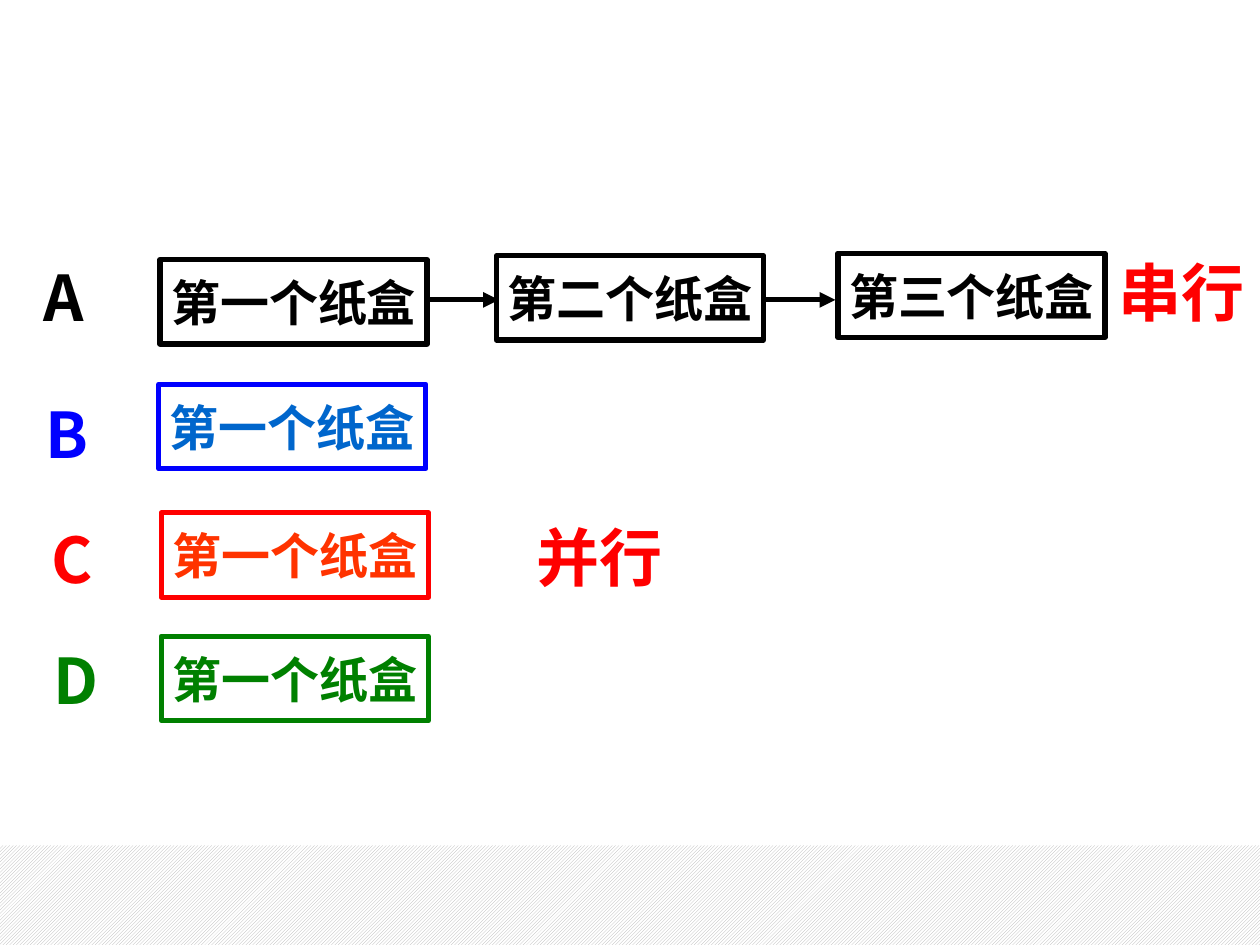
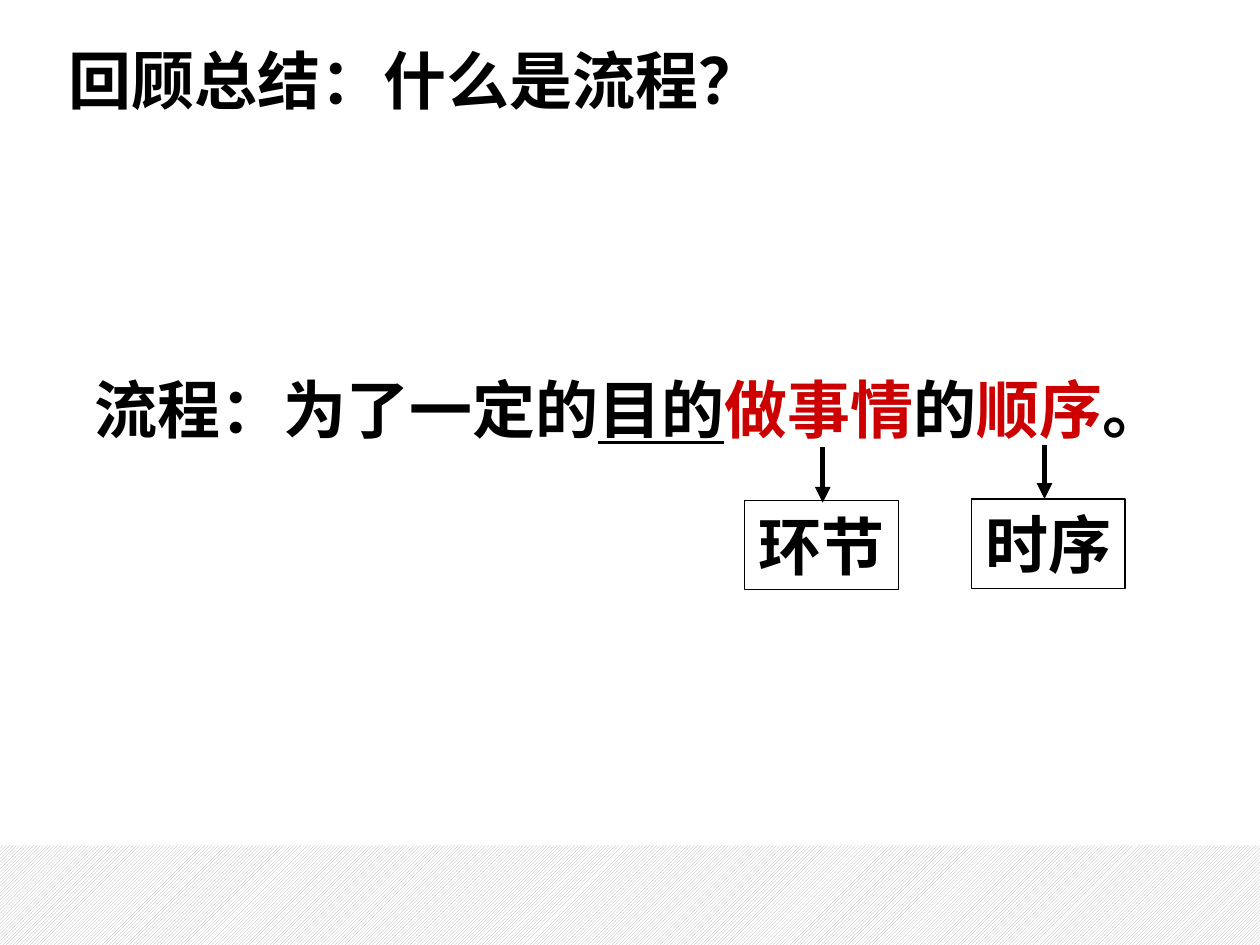
from lxml.etree import SubElement
from pptx import Presentation
from pptx.dml.color import RGBColor
from pptx.enum.dml import MSO_PATTERN
from pptx.enum.shapes import MSO_CONNECTOR, MSO_SHAPE
from pptx.enum.text import MSO_ANCHOR, MSO_AUTO_SIZE, PP_ALIGN
from pptx.oxml.ns import qn
from pptx.util import Inches, Pt

BLACK = RGBColor(0x00, 0x00, 0x00)
WHITE = RGBColor(0xFF, 0xFF, 0xFF)
GREY = RGBColor(0xB2, 0xB2, 0xB2)
BLUE = RGBColor(0x00, 0x00, 0xFF)
MID_BLUE = RGBColor(0x00, 0x66, 0xCC)
RED = RGBColor(0xFF, 0x00, 0x00)
ORANGE_RED = RGBColor(0xFF, 0x33, 0x00)
DARK_RED = RGBColor(0xCC, 0x00, 0x00)
GREEN = RGBColor(0x00, 0x80, 0x00)

SANS_SC = "Noto Sans CJK SC"
SANS_KR = "Noto Sans CJK KR"
COLS, ROWS = 100, 75
TITLE_ONLY, BLANK = 5, 6
THICK, THIN = 3, 0.75


class Deck:
    """Draws on the current slide; lengths are in grid columns and rows."""

    def __init__(self):
        self.prs = Presentation()
        self.prs.slide_width, self.prs.slide_height = Inches(10), Inches(7.5)
        self.col = self.prs.slide_width / COLS
        self.row = self.prs.slide_height / ROWS
        self.shapes = None

    def new_slide(self, layout):
        s = self.prs.slides.add_slide(self.prs.slide_layouts[layout])
        self.shapes = self.slide_shapes = s.shapes

    def start_group(self):
        self.shapes = self.slide_shapes.add_group_shape().shapes

    def place(self, left, top, width, height):
        return [round(n * unit) for n, unit in
                zip((left, top, width, height), (self.col, self.row) * 2)]

    def master_band(self):
        """Move a patterned footer band onto the slide master, behind its text."""
        sp = self.shapes.add_shape(MSO_SHAPE.RECTANGLE, *self.place(0, 67.1, COLS, 7.9))
        sp.shadow.inherit = False
        sp.line.fill.background()
        sp.fill.patterned()
        sp.fill.pattern = MSO_PATTERN.DARK_UPWARD_DIAGONAL
        sp.fill.fore_color.rgb, sp.fill.back_color.rgb = GREY, WHITE
        sp.element.nvSpPr.cNvPr.set("id", "99")
        self.prs.slide_master.shapes.element.insert(2, sp.element)

    def set_text(self, sp, runs, size, font, align, wrap=False):
        """Fill a shape with one paragraph of (text, colour, underline) runs."""
        tf = sp.text_frame
        frame = {"word_wrap": wrap, "auto_size": MSO_AUTO_SIZE.NONE,
                 "vertical_anchor": MSO_ANCHOR.MIDDLE}
        for name, value in frame.items():
            setattr(tf, name, value)
        p = tf.paragraphs[0]
        p.alignment = align
        for text, color, underline in runs:
            r = p.add_run()
            r.text = text
            style = {"size": Pt(size), "bold": True, "name": font,
                     "underline": underline}
            for name, value in style.items():
                setattr(r.font, name, value)
            r.font.color.rgb = color
            SubElement(r.font._element, qn("a:ea"), typeface=font)

    def title(self, text):
        sp = self.slide_shapes.title
        sp.left, sp.top, sp.width, sp.height = self.place(4.4, 2.1, 90, 8.4)
        self.set_text(sp, [(text, BLACK, False)], 36, SANS_KR, PP_ALIGN.LEFT, wrap=True)

    def text(self, at, runs, align=PP_ALIGN.LEFT):
        sp = self.shapes.add_textbox(*self.place(*at))
        self.set_text(sp, runs, 36, SANS_SC, align)

    def box(self, at, text, color, line_color, weight=THICK, size=28):
        sp = self.shapes.add_shape(MSO_SHAPE.RECTANGLE, *self.place(*at))
        sp.shadow.inherit = False
        sp.fill.background()
        sp.line.color.rgb, sp.line.width = line_color, Pt(weight)
        self.set_text(sp, [(text, color, False)], size, SANS_KR, PP_ALIGN.CENTER)

    def arrow(self, left, top, right, bottom):
        sp = self.shapes.add_connector(MSO_CONNECTOR.STRAIGHT,
                                       *self.place(left, top, right, bottom))
        sp.line.color.rgb, sp.line.width = BLACK, Pt(THICK)
        SubElement(sp.line._get_or_add_ln(), qn("a:tailEnd"), type="triangle")
        SubElement(sp.element.spPr, qn("a:effectLst"))


def serial_and_parallel(deck):
    deck.new_slide(BLANK)
    deck.master_band()
    box_size = 21.2, 6.7
    workers = [
        ("A", 2.5, 20.6, 12.7, 20.6, BLACK, BLACK),
        ("B", 2.8, 31.5, 12.6, 30.5, BLUE, MID_BLUE),
        ("C", 3.2, 41.4, 12.8, 40.7, RED, ORANGE_RED),
        ("D", 3.5, 51, 12.8, 50.5, GREEN, GREEN),
    ]
    for letter, left, top, box_left, box_top, color, text_color in workers:
        deck.text((left, top, 5.1, 5.8), [(letter, color, False)], PP_ALIGN.CENTER)
        deck.box((box_left, box_top, *box_size), "第一个纸盒", text_color, color)
    for text, left, top in [("第二个纸盒", 39.4, 20.3), ("第三个纸盒", 66.5, 20.1)]:
        deck.box((left, top, *box_size), text, BLACK, BLACK)
    for left in (34, 60.7):
        deck.arrow(left, 23.8, left + 5.6, 23.8)
    for text, left, top in [("串行", 87.8, 19.6), ("并行", 41.6, 40.6)]:
        deck.text((left, top, 12.2, 7.1), [(text, RED, False)])


def what_is_a_process(deck):
    deck.new_slide(TITLE_ONLY)
    deck.title("回顾总结：什么是流程？")
    deck.text((6.5, 28.9, 87.3, 7), [
        ("流程：为了一定的", BLACK, False),
        ("目的", BLACK, True),
        ("做事情", DARK_RED, False),
        ("的", BLACK, False),
        ("顺序", DARK_RED, False),
        ("。", BLACK, False),
    ])
    terms = [("环节", 59.1, 39.7, 65.3, 35.5, 39.9),
             ("时序", 77.1, 39.6, 82.9, 35.3, 39.6)]
    for text, left, top, arrow_x, arrow_top, arrow_tip in terms:
        deck.start_group()
        deck.box((left, top, 12.2, 7.1), text, BLACK, BLACK, THIN, 36)
        deck.arrow(arrow_x, arrow_top, arrow_x, arrow_tip)


def main():
    deck = Deck()
    serial_and_parallel(deck)
    what_is_a_process(deck)
    deck.prs.save("out.pptx")


if __name__ == "__main__":
    main()
